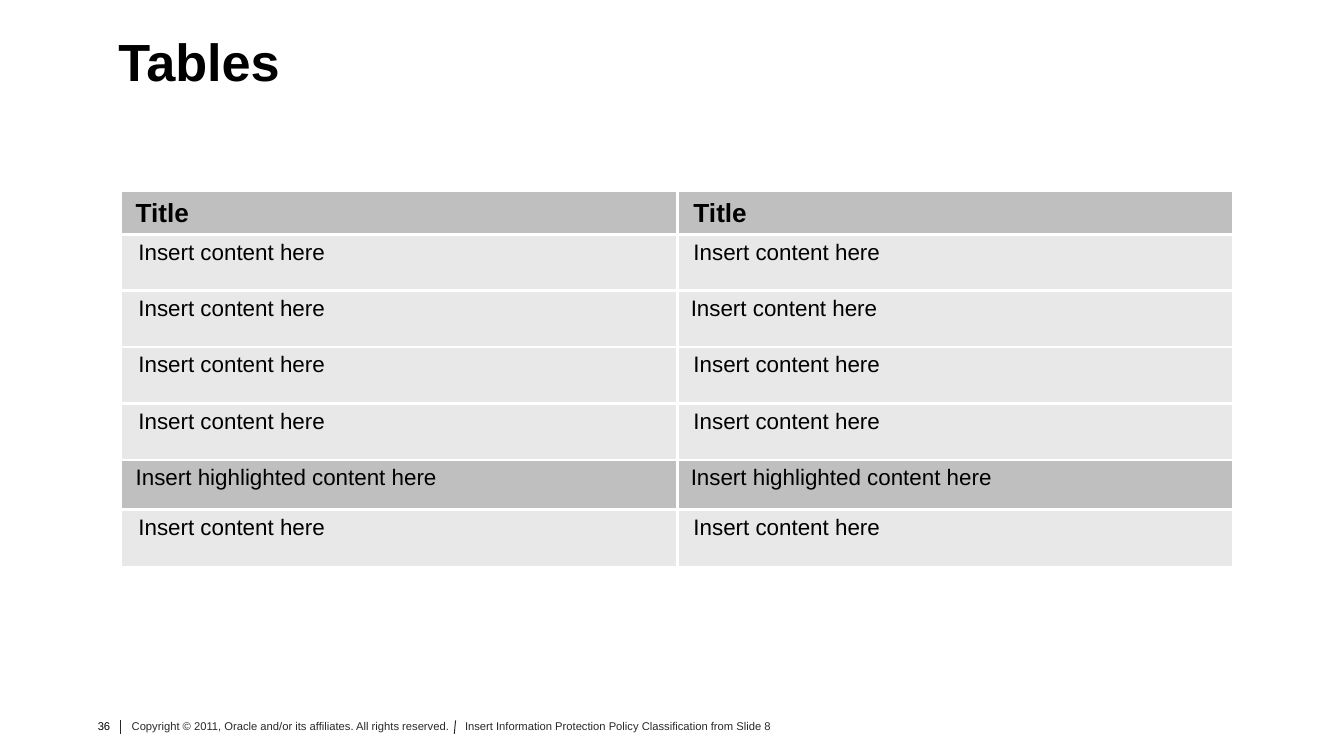
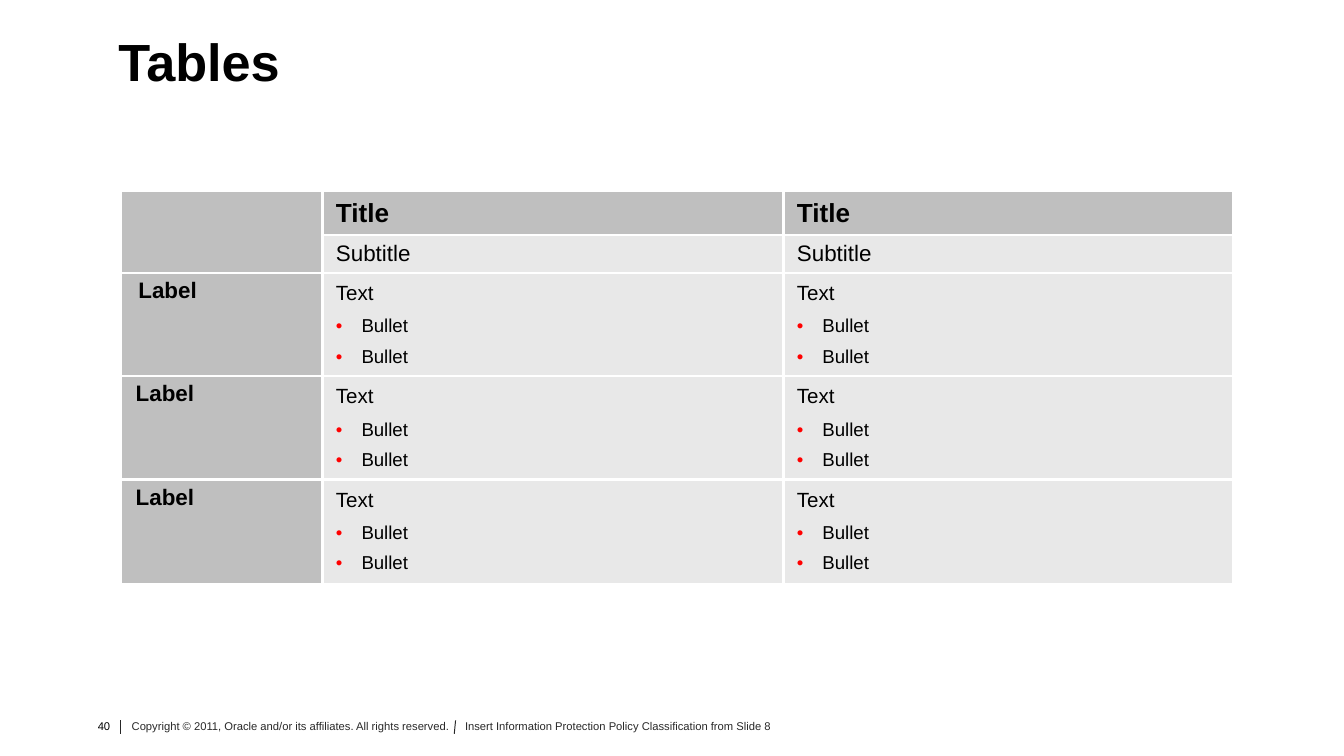
from lxml import etree
from pptx import Presentation
from pptx.dml.color import RGBColor
from pptx.enum.shapes import MSO_CONNECTOR
from pptx.enum.text import MSO_ANCHOR, PP_ALIGN
from pptx.oxml.ns import qn
from pptx.util import Inches, Pt

STRAIGHT = MSO_CONNECTOR.STRAIGHT
TOP, MIDDLE = MSO_ANCHOR.TOP, MSO_ANCHOR.MIDDLE
LEFT, RIGHT = PP_ALIGN.LEFT, PP_ALIGN.RIGHT

# Shared look
FONT = "Arial"
WHITE, BLACK, RED = "FFFFFF", "000000", "FF0000"
DARK, LIGHT = "BFBFBF", "E8E8E8"
FOOTER_TEXT, FOOTER_LINE = "292929", "262626"
SLIDE_WIDTH = 10
SLIDE_HEIGHT = SLIDE_WIDTH * 9 / 16
TABLE_LEFT, TABLE_TOP = 0.91, 1.43
PLAIN_TABLE_STYLE = "{2D5ABB26-0587-4C30-8999-92F81FD0307C}"
FOOTER_TOP, FOOTER_HEIGHT = 5.33, 0.24
CELL_INSETS = (0.1, 0.04, 0.1, 0.04)
NUMBER_INSETS = (0, 0.02, 0.04, 0.02)
NOTE_INSETS = (0.04, 0.02, 0, 0.02)
NO_INSETS = (0, 0, 0, 0)
STEP = 0.02  # small indent of some cells
BULLET_INDENT = 0.19

# Footer: texts as left, width, text; rules as top x, bottom x
COPYRIGHT = "Copyright © 2011, Oracle and/or its affiliates. All rights reserved."
POLICY = "Insert Information Protection Policy Classification from Slide 8"
FOOTER_NOTES = [(0.94, 2.44, COPYRIGHT), (3.42, 2.47, POLICY)]
FOOTER_RULES = [(0.9, 0.9), (3.39, 3.38)]

# Cell kinds: fill, anchor, size, bold
KINDS = {
    "header": (DARK, MIDDLE, 14, True),
    "subtitle": (LIGHT, MIDDLE, 12, False),
    "label": (DARK, TOP, 12, True),
    "body": (LIGHT, TOP, 12, False),
    "highlight": (DARK, TOP, 12, False),
    "list": (LIGHT, MIDDLE, 11, False),
}
BULLET_SIZE = 10

# Cells as kind, text, indent; a list cell holds a lead line and bullets
INSERT = "Insert content here"
HIGHLIGHT = "Insert highlighted content here"
LIST = ("list", ["Text", "Bullet", "Bullet"], 0)
LIST_SPACING = [6, 5, 0]  # points after each line
BODY = ("body", INSERT, STEP)

SLIDES = [
    {
        "number": "36", "title": "Tables",
        "columns": [4.13, 4.13],
        "rows": [
            (0.31, [("header", "Title", 0), ("header", "Title", STEP)]),
            (0.42, [BODY, BODY]),
            (0.42, [BODY, ("body", INSERT, 0)]),
            (0.42, [BODY, BODY]),
            (0.42, [BODY, BODY]),
            (0.37, [("highlight", HIGHLIGHT, 0)] * 2),
            (0.42, [BODY, BODY]),
        ],
        "merges": [],
    },
    {
        "number": "40", "title": "Tables",
        "columns": [1.49, 3.43, 3.34],
        "rows": [
            (0.32, [("label", "", 0)] + [("header", "Title", 0)] * 2),
            (0.27, [("label", "", 0)] + [("subtitle", "Subtitle", 0)] * 2),
            (0.77, [("label", "Label", STEP), LIST, LIST]),
            (0.77, [("label", "Label", 0), LIST, LIST]),
            (0.77, [("label", "Label", 0), LIST, LIST]),
        ],
        "merges": [((0, 0), (1, 0))],
    },
]


def rgb(color):
    return RGBColor.from_string(color)


def set_insets(target, insets):
    target.margin_left, target.margin_top, target.margin_right, target.margin_bottom = map(Inches, insets)


def add_run(paragraph, text, size, color=BLACK, bold=False):
    run = paragraph.add_run()
    run.text = text
    run.font.name, run.font.size, run.font.bold = FONT, Pt(size), bold
    run.font.color.rgb = rgb(color)


def add_text(slide, box, text, size, insets, color=BLACK, bold=False, align=LEFT):
    frame = slide.shapes.add_textbox(*map(Inches, box)).text_frame
    frame.word_wrap = True
    set_insets(frame, insets)
    paragraph = frame.paragraphs[0]
    paragraph.alignment = align
    add_run(paragraph, text, size, color, bold)


def add_footer(slide, number):
    add_text(slide, (0.69, FOOTER_TOP, 0.17, FOOTER_HEIGHT), number, 6,
             NUMBER_INSETS, align=RIGHT)
    for left, width, text in FOOTER_NOTES:
        add_text(slide, (left, FOOTER_TOP, width, FOOTER_HEIGHT), text, 6,
                 NOTE_INSETS, FOOTER_TEXT)
    for top_x, bottom_x in FOOTER_RULES:
        rule = slide.shapes.add_connector(
            STRAIGHT, *map(Inches, (top_x, 5.36, bottom_x, 5.46)))
        rule.line.color.rgb = rgb(FOOTER_LINE)
        rule.line.width = Pt(0.5)
        etree.SubElement(rule._element.spPr, qn("a:effectLst"))


def set_borders(cell, sides):
    properties = cell._tc.get_or_add_tcPr()
    for side in sides:
        line = etree.SubElement(properties, qn(f"a:ln{side}"), w=str(Pt(1.5)))
        fill = etree.SubElement(line, qn("a:solidFill"))
        etree.SubElement(fill, qn("a:srgbClr"), val=WHITE)


def inner_sides(row, column, row_count, column_count):
    inner = {"L": column > 0, "R": column < column_count - 1,
             "T": row > 0, "B": row < row_count - 1}
    return [side for side, shown in inner.items() if shown]


def set_indent(paragraph, left, first=0):
    properties = paragraph._p.get_or_add_pPr()
    properties.set("marL", str(Inches(left)))
    properties.set("indent", str(Inches(first)))
    return properties


def set_bullet(paragraph):
    properties = set_indent(paragraph, BULLET_INDENT, -BULLET_INDENT)
    color = etree.SubElement(properties, qn("a:buClr"))
    etree.SubElement(color, qn("a:srgbClr"), val=RED)
    etree.SubElement(properties, qn("a:buFont"), typeface=FONT)
    etree.SubElement(properties, qn("a:buChar"), char="•")


def fill_list(frame, lines, size):
    for index, (text, space) in enumerate(zip(lines, LIST_SPACING)):
        paragraph = frame.add_paragraph() if index else frame.paragraphs[0]
        if index:
            set_bullet(paragraph)
        paragraph.space_after = Pt(space)
        add_run(paragraph, text, BULLET_SIZE if index else size)


def fill_cell(cell, kind, content, indent):
    fill, anchor, size, bold = KINDS[kind]
    cell.fill.solid()
    cell.fill.fore_color.rgb = rgb(fill)
    cell.vertical_anchor = anchor
    set_insets(cell, CELL_INSETS)
    paragraph = cell.text_frame.paragraphs[0]
    if kind == "list":
        fill_list(cell.text_frame, content, size)
    elif content:
        set_indent(paragraph, indent)
        add_run(paragraph, content, size, bold=bold)
    else:
        # An empty cell must not stretch its row
        etree.SubElement(paragraph._p, qn("a:endParaRPr"), sz=str(size * 100))


def add_table(slide, columns, rows, merges):
    height = sum(row_height for row_height, _ in rows)
    box = (TABLE_LEFT, TABLE_TOP, sum(columns), height)
    table = slide.shapes.add_table(len(rows), len(columns), *map(Inches, box)).table
    table.first_row = table.horz_banding = False
    table._tbl.tblPr.find(qn("a:tableStyleId")).text = PLAIN_TABLE_STYLE
    for column, width in zip(table.columns, columns):
        column.width = Inches(width)
    for row_index, (row_height, cells) in enumerate(rows):
        table.rows[row_index].height = Inches(row_height)
        for column_index, values in enumerate(cells):
            cell = table.cell(row_index, column_index)
            set_borders(cell, inner_sides(row_index, column_index, len(rows), len(columns)))
            fill_cell(cell, *values)
    for first, last in merges:
        table.cell(*first).merge(table.cell(*last))


def main():
    presentation = Presentation()
    presentation.slide_width = Inches(SLIDE_WIDTH)
    presentation.slide_height = Inches(SLIDE_HEIGHT)
    for content in SLIDES:
        slide = presentation.slides.add_slide(presentation.slide_layouts[6])
        add_footer(slide, content["number"])
        add_text(slide, (0.88, 0.22, 8.69, 0.58), content["title"], 28, NO_INSETS, bold=True)
        add_table(slide, content["columns"], content["rows"], content["merges"])
    presentation.save("out.pptx")


if __name__ == "__main__":
    main()
